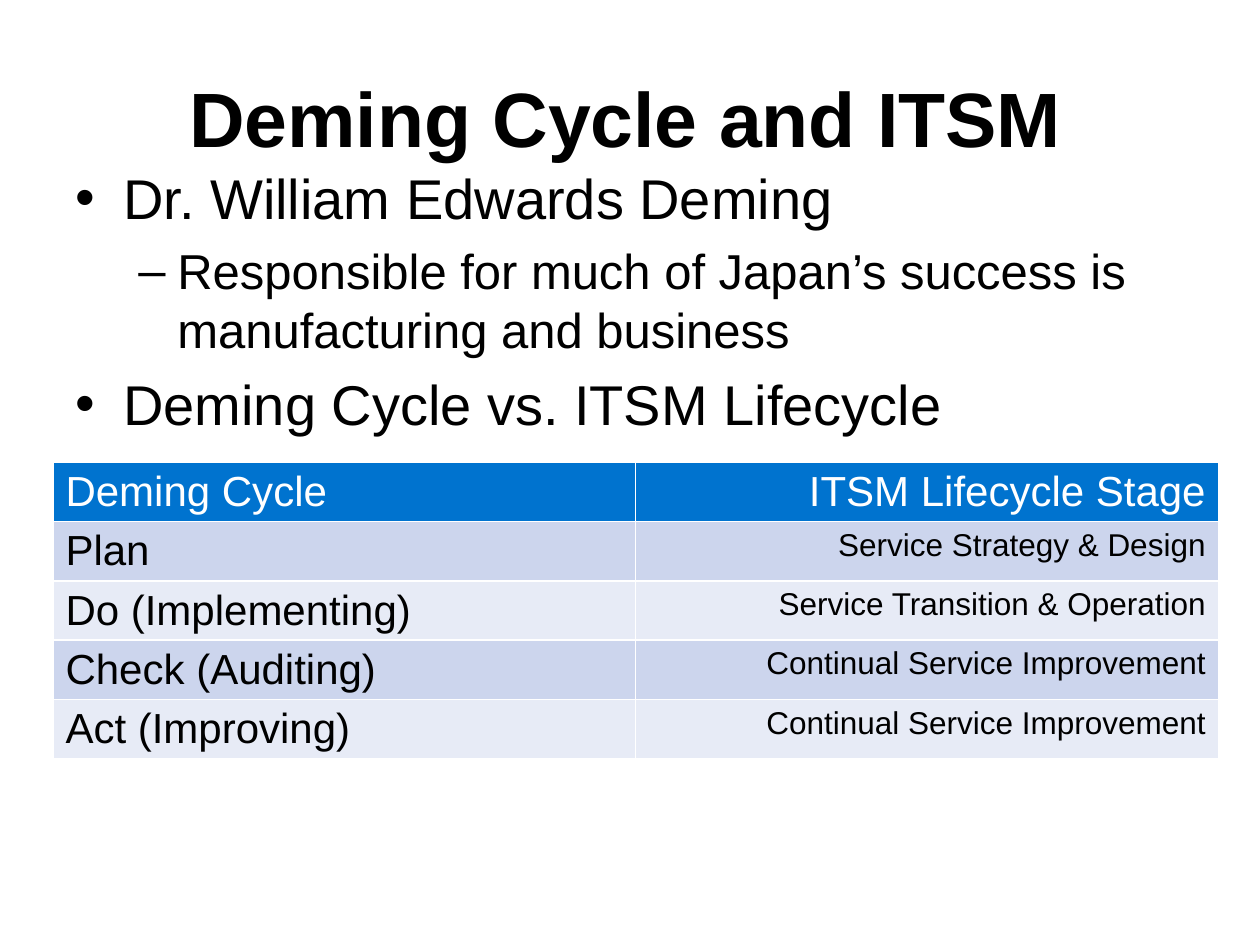
from pptx import Presentation
from pptx.dml.color import RGBColor as Rgb
from pptx.enum.text import MSO_ANCHOR as Anchor, PP_ALIGN as Align
from pptx.oxml.ns import qn
from pptx.util import Inches, Pt
from lxml.etree import SubElement as Sub

HUES = {"ink": "000000", "white": "FFFFFF", "head": "0073CF",
        "dark": "CCD5ED", "light": "E7EBF6"}
LEVELS = [(32, 0.38, -0.38, "•"), (28, 0.81, -0.31, "–")]
POINTS = [
    (0, "Dr. William Edwards Deming"),
    (1, "Responsible for much of Japan’s success is manufacturing and business"),
    (0, "Deming Cycle vs. ITSM Lifecycle"),
]
ROWS = [
    ("Deming Cycle", "ITSM Lifecycle Stage"),
    ("Plan", "Service Strategy & Design"),
    ("Do (Implementing)", "Service Transition & Operation"),
    ("Check (Auditing)", "Continual Service Improvement"),
    ("Act (Improving)", "Continual Service Improvement"),
]


def style(para, size, hue="ink", bold=False):
    for run in para.runs:
        font = run.font
        font.name, font.size, font.bold = "Arial", Pt(size), bold
        font.color.rgb = Rgb.from_string(HUES[hue])


def add_title(slide, text):
    title = slide.shapes.title
    title.left, title.top = Inches(0.5), Inches(0.3)
    title.width, title.height = Inches(9), Inches(1.25)
    frame = title.text_frame
    frame.text = text
    frame.vertical_anchor = Anchor.MIDDLE
    para = frame.paragraphs[0]
    para.alignment = Align.CENTER
    style(para, 44, bold=True)


def add_list(slide, points):
    box = slide.shapes.add_textbox(Inches(0.5), Inches(1.25), Inches(9), Inches(4.96))
    frame = box.text_frame
    frame.word_wrap = True
    for i, (level, text) in enumerate(points):
        para = frame.add_paragraph() if i else frame.paragraphs[0]
        para.text = text
        para.level = level
        size, left, hang, mark = LEVELS[level]
        para.space_before = Pt(size * 0.2)
        style(para, size)
        props = para._p.get_or_add_pPr()
        props.set("marL", str(Inches(left)))
        props.set("indent", str(Inches(hang)))
        Sub(props, qn("a:buFont"), typeface="Arial")
        Sub(props, qn("a:buChar"), char=mark)


def add_edges(cell):
    props = cell._tc.get_or_add_tcPr()
    for side in "LRTB":
        line = Sub(props, qn("a:ln" + side), w=str(Pt(1)))
        fill = Sub(line, qn("a:solidFill"))
        Sub(fill, qn("a:srgbClr"), val=HUES["white"])


def add_grid(slide, rows):
    frame = slide.shapes.add_table(len(rows), 2, Inches(0.42), Inches(3.67),
                                   Inches(9.25), Inches(2.03))
    table = frame.table
    for r, row in enumerate(rows):
        table.rows[r].height = Inches(0.41)
        band = "head" if r == 0 else ("light", "dark")[r % 2]
        for c, text in enumerate(row):
            cell = table.cell(r, c)
            cell.text = text
            cell.margin_bottom = Inches(0.02)
            add_edges(cell)
            cell.fill.solid()
            cell.fill.fore_color.rgb = Rgb.from_string(HUES[band])
            para = cell.text_frame.paragraphs[0]
            para.alignment = Align.RIGHT if c else Align.LEFT
            style(para, 18 if r and c else 24, "ink" if r else "white")


def main():
    deck = Presentation()
    deck.slide_width, deck.slide_height = Inches(10), Inches(7.5)
    slide = deck.slides.add_slide(deck.slide_layouts[5])
    add_title(slide, "Deming Cycle and ITSM\t")
    add_list(slide, POINTS)
    add_grid(slide, ROWS)
    deck.save("out.pptx")


main()
